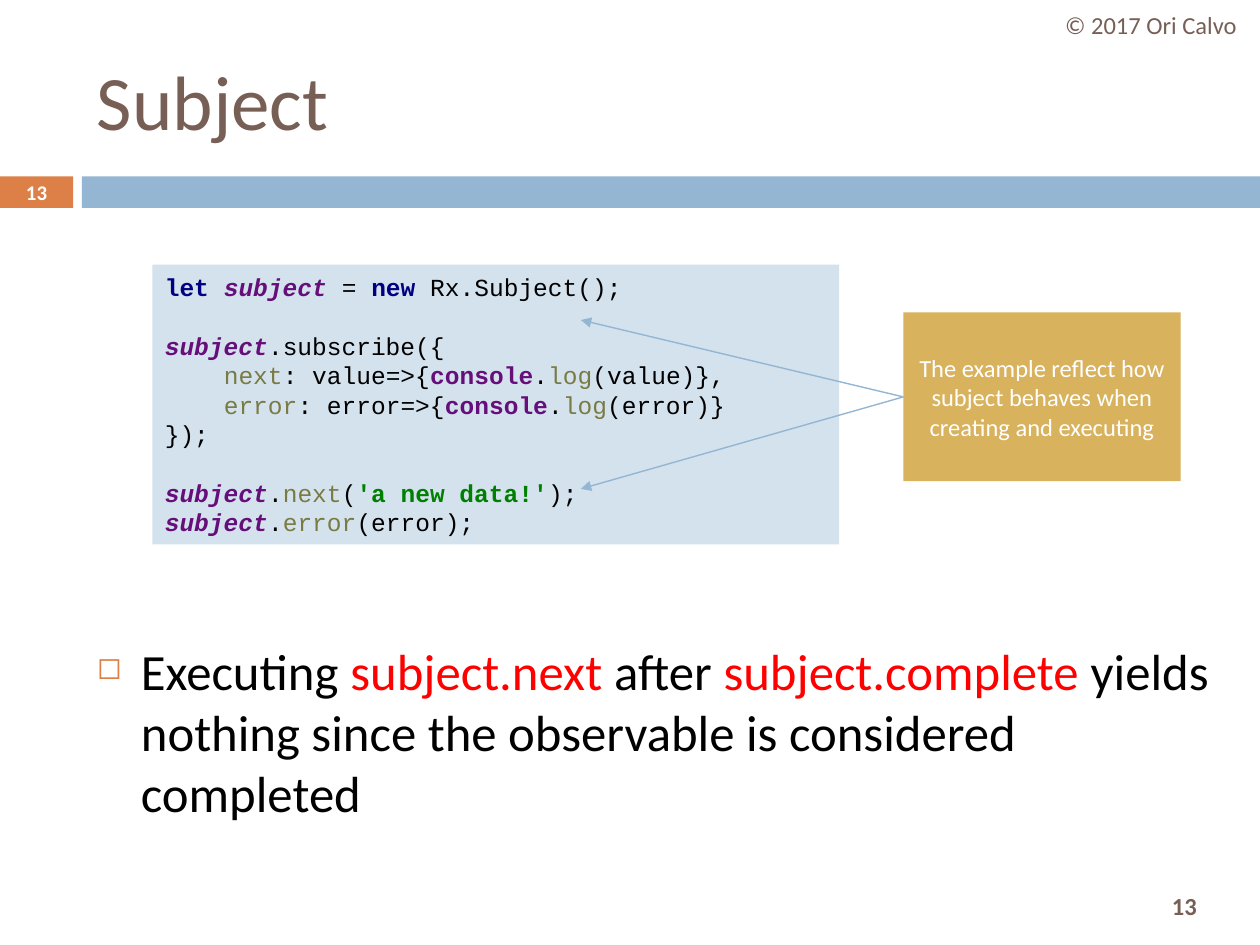
from lxml.etree import SubElement
from pptx import Presentation
from pptx.dml.color import RGBColor
from pptx.enum.shapes import MSO_CONNECTOR, MSO_SHAPE
from pptx.enum.text import MSO_ANCHOR, PP_ALIGN
from pptx.oxml.ns import qn
from pptx.util import Inches, Pt

BLUE, ORANGE, BROWN = "94B6D2", "DD8047", "775F55"
BLACK, WHITE, RED = "000000", "FFFFFF", "FF0000"

# Code token styles: colour, bold, italic
STYLES = {
    "key": ("000080", True, False),
    "var": ("660E7A", True, True),
    "obj": ("660E7A", True, False),
    "prop": ("7A7A43", False, False),
    "str": ("008000", True, False),
    "code": (BLACK, False, False),
}

CODE = [
    [("key", "let "), ("var", "subject "), ("code", "= "), ("key", "new "),
     ("code", "Rx.Subject();\n\n"), ("var", "subject"),
     ("code", ".subscribe({")],
    [("code", "    "), ("prop", "next"), ("code", ": value=>{"),
     ("obj", "console"), ("code", "."), ("prop", "log"),
     ("code", "(value)},\n    "), ("prop", "error"),
     ("code", ": error=>{"), ("obj", "console"), ("code", "."),
     ("prop", "log"), ("code", "(error)}\n});\n\n"),
     ("var", "subject"), ("code", "."), ("prop", "next"), ("code", "("),
     ("str", "'a new data!'"), ("code", ");\n"),
     ("var", "subject"), ("code", "."), ("prop", "error"),
     ("code", "(error);")],
]

POINT = [("Executing ", BLACK), ("subject.next", RED), (" after ", BLACK),
         ("subject.complete", RED),
         (" yields nothing since the observable is considered completed",
          BLACK)]


def rgb(color):
    return RGBColor.from_string(color)


def set_font(font, size, color=None, bold=None, name="Calibri"):
    font.name, font.size, font.bold = name, Pt(size), bold
    if color:
        font.color.rgb = rgb(color)


def add_rect(slide, box, color):
    rect = slide.shapes.add_shape(MSO_SHAPE.RECTANGLE, *map(Inches, box))
    rect.shadow.inherit = False
    rect.fill.solid()
    rect.fill.fore_color.rgb = rgb(color)
    rect.line.fill.background()
    return rect


def set_frame(shape, anchor=MSO_ANCHOR.MIDDLE):
    frame = shape.text_frame
    frame.word_wrap = True
    frame.vertical_anchor = anchor
    return frame


def write(shape, text, size, color, align=PP_ALIGN.CENTER, bold=None):
    para = set_frame(shape).paragraphs[0]
    para.text = text
    para.alignment = align
    set_font(para.font, size, color, bold)


def add_label(slide, box, *args, **kwargs):
    write(slide.shapes.add_textbox(*map(Inches, box)), *args, **kwargs)


def add_code(slide, box):
    frame = set_frame(add_rect(slide, box, "D4E2ED"))
    for i, tokens in enumerate(CODE):
        para = frame.add_paragraph() if i else frame.paragraphs[0]
        para.alignment = PP_ALIGN.LEFT
        set_font(para.font, 14, name="Courier New")
        for style, text in tokens:
            color, bold, italic = STYLES[style]
            for j, part in enumerate(text.split("\n")):
                if j:
                    para.add_line_break()
                if part:
                    run = para.add_run()
                    run.text = part
                    run.font.color.rgb = rgb(color)
                    run.font.bold, run.font.italic = bold, italic


def add_arrow(slide, start, x, y):
    """Draw an arrow from the left side of a shape to a point."""
    line = slide.shapes.add_connector(
        MSO_CONNECTOR.STRAIGHT, 0, 0, Inches(x), Inches(y))
    line.begin_connect(start, 1)
    line.line.color.rgb = rgb(BLUE)
    line.line.width = Pt(0.79)
    SubElement(line.line._get_or_add_ln(), qn("a:tailEnd"), type="triangle")
    SubElement(line._element.spPr, qn("a:effectLst"))


def add_bullet(slide, box, parts):
    shape = slide.shapes.add_textbox(*map(Inches, box))
    para = set_frame(shape, MSO_ANCHOR.TOP).paragraphs[0]
    props = para._p.get_or_add_pPr()
    indent = Inches(0.35)
    props.set("marL", str(indent))
    props.set("indent", str(-indent))
    tint = SubElement(props, qn("a:buClr"))
    SubElement(tint, qn("a:srgbClr"), val=ORANGE)
    SubElement(props, qn("a:buSzPct"), val="60000")
    SubElement(props, qn("a:buChar"), char="◻")
    set_font(para.font, 29)
    for text, color in parts:
        run = para.add_run()
        run.text = text
        run.font.color.rgb = rgb(color)


def main():
    deck = Presentation()
    deck.slide_width, deck.slide_height = Inches(10), Inches(7.5)
    slide = deck.slides.add_slide(deck.slide_layouts[6])

    badge = add_rect(slide, (0, 1.4, 0.58, 0.25), ORANGE)
    write(badge, "13", 11.9, WHITE, bold=True)
    add_rect(slide, (0.65, 1.4, 9.35, 0.25), BLUE)
    add_label(slide, (8.94, 6.98, 0.92, 0.42), "13", 14, BROWN, bold=True)
    add_label(slide, (0.67, 0.25, 8.92, 1.08), "Subject", 44, BROWN,
              align=PP_ALIGN.LEFT)
    add_label(slide, (8.27, 0, 1.73, 0.4), "© 2017 Ori Calvo", 14, BROWN)

    add_code(slide, (1.21, 2.1, 5.45, 2.22))
    note = add_rect(slide, (7.17, 2.48, 2.2, 1.34), "D8B25C")
    write(note, "The example reflect how subject behaves when creating "
          "and executing", 14, WHITE)
    for y in (3.88, 2.54):
        add_arrow(slide, note, 4.61, y)

    add_bullet(slide, (0.67, 5.03, 9.13, 1.61), POINT)
    deck.save("out.pptx")


if __name__ == "__main__":
    main()
